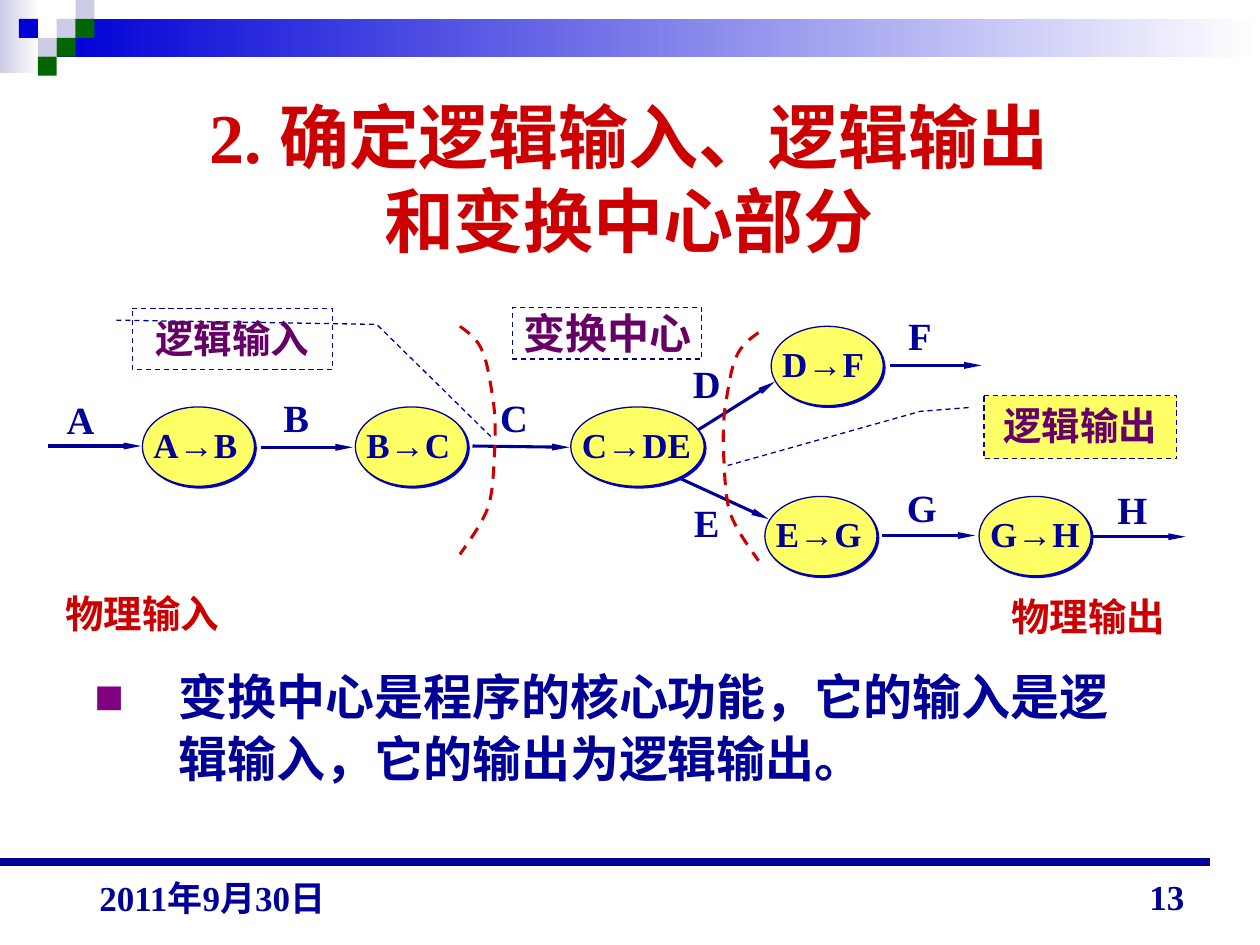
from lxml import etree
from pptx import Presentation
from pptx.dml.color import RGBColor
from pptx.enum.dml import MSO_LINE
from pptx.enum.shapes import MSO_CONNECTOR, MSO_SHAPE
from pptx.enum.text import MSO_ANCHOR, MSO_AUTO_SIZE, PP_ALIGN
from pptx.oxml.ns import qn
from pptx.util import Pt

PX = 9144
RECT, OVAL, CALLOUT = MSO_SHAPE.RECTANGLE, MSO_SHAPE.OVAL, MSO_SHAPE.LINE_CALLOUT_2
STRAIGHT, DASH = MSO_CONNECTOR.STRAIGHT, MSO_LINE.DASH
LEFT, CENTER, RIGHT = PP_ALIGN.LEFT, PP_ALIGN.CENTER, PP_ALIGN.RIGHT
TOP, MIDDLE, BOTTOM = MSO_ANCHOR.TOP, MSO_ANCHOR.MIDDLE, MSO_ANCHOR.BOTTOM
SERIF, SANS = "Times New Roman", "Arial"
COLORS = {"navy": "000099", "blue": "0000D6", "pale": "CCCCE6", "green": "006600",
          "red": "CC0000", "purple": "660066", "bullet": "800080",
          "yellow": "FFFF66", "white": "FFFFFF"}


def rgb(name):
    """Return a named colour."""
    return RGBColor.from_string(COLORS[name])


def emu(*lengths):
    """Turn px lengths into EMU."""
    return [round(length * PX) for length in lengths]


def add_xml(parent, tag, **attributes):
    """Append a DrawingML element and return it."""
    return etree.SubElement(parent, qn(tag), attributes)


def write(shape, text, size, color, align=LEFT, anchor=TOP, wrap=True, inset=10):
    """Set the bold text of a shape, with arrow signs in the sans font."""
    frame = shape.text_frame
    frame.auto_size = MSO_AUTO_SIZE.NONE
    frame.word_wrap = wrap
    frame.vertical_anchor = anchor
    frame.margin_left, frame.margin_right, frame.margin_top, frame.margin_bottom = emu(
        inset, inset, inset / 2, inset / 2)
    paragraph = frame.paragraphs[0]
    paragraph.alignment = align
    start, arrow, end = text.partition("→")
    paragraph.text = start
    for part in filter(None, (arrow, end)):
        paragraph.add_run().text = part
    for run in paragraph.runs:
        run.font.name = SANS if run.text == "→" else SERIF
        run.font.size = Pt(size)
        run.font.bold = True
        run.font.color.rgb = rgb(color)
    return paragraph


def add_label(slide, box, *args, **options):
    """Add a text box."""
    label = slide.shapes.add_textbox(*emu(*box))
    return write(label, *args, **options)


def style_line(line, color, width, dash=None):
    """Set colour, width and dash of a line."""
    line.color.rgb = rgb(color)
    line.width = Pt(width)
    if dash:
        line.dash_style = dash


def add_figure(slide, kind, box, fill=None, line=None, dash=None):
    """Add a preset shape without a shadow."""
    figure = slide.shapes.add_shape(kind, *emu(*box))
    figure.shadow.inherit = False
    if fill:
        figure.fill.solid()
        figure.fill.fore_color.rgb = rgb(fill)
    else:
        figure.fill.background()
    if line:
        style_line(figure.line, line, 0.75, dash)
    else:
        figure.line.fill.background()
    return figure


def add_line(slide, ends, width, arrow=False):
    """Add a straight line, with an arrowhead if asked."""
    line = slide.shapes.add_connector(STRAIGHT, *emu(*ends))
    style_line(line.line, "navy", width)
    if arrow:
        add_xml(line.line._get_or_add_ln(), "a:tailEnd", type="triangle", w="sm", len="lg")
    add_xml(line._element.spPr, "a:effectLst")


def add_gradient(slide, box, color):
    """Add a bar that fades to white on the right."""
    bar = add_figure(slide, RECT, box)
    bar.fill.gradient()
    bar.fill.gradient_angle = 180
    for stop, name in zip(bar.fill.gradient_stops, ("white", color)):
        stop.color.rgb = rgb(name)


def add_header(slide, x, y, w):
    """Draw the faded bars and the checkered squares."""
    add_gradient(slide, (x, y, 31, 58), "pale")
    add_gradient(slide, (x + 45, y + 15, w - 45, 30), "blue")
    squares = [(3, 1, "pale"), (4, 0, "pale"), (4, 1, "green"), (2, 2, "pale"),
               (1, 1, "blue"), (3, 2, "green"), (2, 3, "green")]
    for column, row, color in squares:
        add_figure(slide, RECT, (x + 15 * column, y + 15 * row, 15, 15), color)


def add_title(slide, *box):
    """Place and format the title."""
    title = slide.shapes.title
    title.left, title.top, title.width, title.height = emu(*box)
    write(title, "2. 确定逻辑输入、逻辑输出\n和变换中心部分", 40, "red", CENTER, MIDDLE)


def add_process(slide, x, y, w, text, text_width):
    """Draw one process bubble with its label."""
    bubble = add_figure(slide, OVAL, (x, y, w, 63), "yellow", "navy")
    effects = bubble._element.spPr.find(qn("a:effectLst"))
    shadow = add_xml(effects, "a:outerShdw", dist="17780", dir="2700000",
                     algn="ctr", rotWithShape="0")
    add_xml(shadow, "a:srgbClr", val=COLORS["blue"])
    add_label(slide, (x - 1, y + 8, text_width, 44), text, 20, "navy", wrap=False)


def add_boundary(slide, x, y, mirrored=False):
    """Draw one curved dashed boundary of the transform centre."""
    knots = [(0, 0), (7, 5), (14, 10), (18, 20), (22, 29), (24, 44), (26, 56), (28, 68),
             (28, 77), (28, 91), (27, 106), (27, 127), (23, 142), (18, 157), (4, 175), (0, 181)]
    if mirrored:
        knots = [(28 - px, py) for px, py in knots]
    points = []
    for i in range(0, len(knots) - 1, 3):
        for t in (step / 8 for step in range(9)):
            weights = ((1 - t) ** 3, 3 * t * (1 - t) ** 2, 3 * t * t * (1 - t), t ** 3)
            px, py = (sum(k * v for k, v in zip(weights, axis))
                      for axis in zip(*knots[i:i + 4]))
            points.append(emu(x + px, y + py))
    builder = slide.shapes.build_freeform(*points[0], scale=1)
    builder.add_line_segments(points[1:], close=False)
    curve = builder.convert_to_shape()
    curve.shadow.inherit = False
    curve.fill.background()
    style_line(curve.line, "red", 1.75, DASH)


def add_callout(slide, box, text, leader, fill=None):
    """Draw a dashed box with a bent leader line."""
    callout = add_figure(slide, CALLOUT, box, fill, "navy", DASH)
    for i, value in enumerate(leader):
        callout.adjustments[i] = value
    write(callout, text, 22, "purple", CENTER)


def add_flow_diagram(slide, x, y):
    """Draw the data flow diagram."""
    center = add_figure(slide, RECT, (x + 369, y + 1, 150, 41), None, "navy", DASH)
    write(center, "变换中心", 24, "purple", CENTER, inset=0)
    arrows = [(0, 111, 74, 111), (169, 112, 242, 112), (337, 111, 414, 112),
              (502, 107, 577, 60), (498, 135, 572, 169), (668, 47, 741, 47),
              (662, 182, 736, 182), (829, 183, 903, 183)]
    for x1, y1, x2, y2 in arrows:
        add_line(slide, (x + x1, y + y1, x + x2, y + y2), 1.75, arrow=True)
    processes = [(75, 80, 89, "A→B", 86), (244, 80, 89, "B→C", 86), (415, 80, 106, "C→DE", 106),
                 (574, 16, 89, "D→F", 85), (569, 151, 89, "E→G", 88), (739, 151, 89, "G→H", 91)]
    for left, top, *rest in processes:
        add_process(slide, x + left, y + top, *rest)
    labels = [("A", 5, 66, 42, "navy"), ("B", 177, 65, 40, "navy"), ("C", 349, 65, 42, "navy"),
              ("D", 502, 38, 42, "navy"), ("E", 503, 148, 40, "navy"), ("F", 673, 0, 38, "navy"),
              ("G", 672, 136, 44, "navy"), ("H", 839, 138, 44, "navy"),
              ("物理输入", 4, 220, 142, "red"), ("物理输出", 755, 223, 142, "red")]
    for text, left, top, width, color in labels:
        add_label(slide, (x + left, y + top, width, 47), text, 22, color, wrap=False)
    add_boundary(slide, x + 327, y + 16)
    add_boundary(slide, x + 536, y + 21, mirrored=True)
    add_callout(slide, (x + 67, y + 2, 159, 48), "逻辑输入",
                (0.19, -0.08, 0.26, 1.22, 2.15, 1.8))
    add_callout(slide, (x + 743, y + 71, 153, 50), "逻辑输出",
                (0.19, -0.08, 0.25, -0.33, 1.11, -1.33), "yellow")


def add_conclusion(slide, *box):
    """Add the bulleted conclusion."""
    conclusion = add_label(
        slide, box, "变换中心是程序的核心功能，它的输入是逻辑输入，它的输出为逻辑输出。", 28, "navy")
    properties = conclusion._p.get_or_add_pPr()
    indent, = emu(67)
    properties.set("marL", str(indent))
    properties.set("indent", str(-indent))
    add_xml(add_xml(properties, "a:buClr"), "a:srgbClr", val=COLORS["bullet"])
    add_xml(properties, "a:buFont", typeface=SANS)
    add_xml(properties, "a:buChar", char="■")
    conclusion.line_spacing = 1.05


def add_footer(slide, x, y):
    """Draw the rule, the date and the page number."""
    add_line(slide, (x, y + 2, x + 960, y + 2), 4.5)
    add_label(slide, (x + 69, y, 233, 52), "2011年9月30日", 20, "navy", anchor=BOTTOM)
    add_label(slide, (x + 717, y + 1, 233, 50), "13", 20, "navy", RIGHT, BOTTOM)


def main():
    """Build and save the slide."""
    deck = Presentation()
    deck.slide_width, deck.slide_height = emu(1000, 750)
    slide = deck.slides.add_slide(deck.slide_layouts[5])
    add_header(slide, 0, 0, 1000)
    add_title(slide, 74, 69, 850, 143)
    add_flow_diagram(slide, 38, 243)
    add_conclusion(slide, 65, 522, 850, 125)
    add_footer(slide, 0, 682)
    deck.save("out.pptx")


if __name__ == "__main__":
    main()
